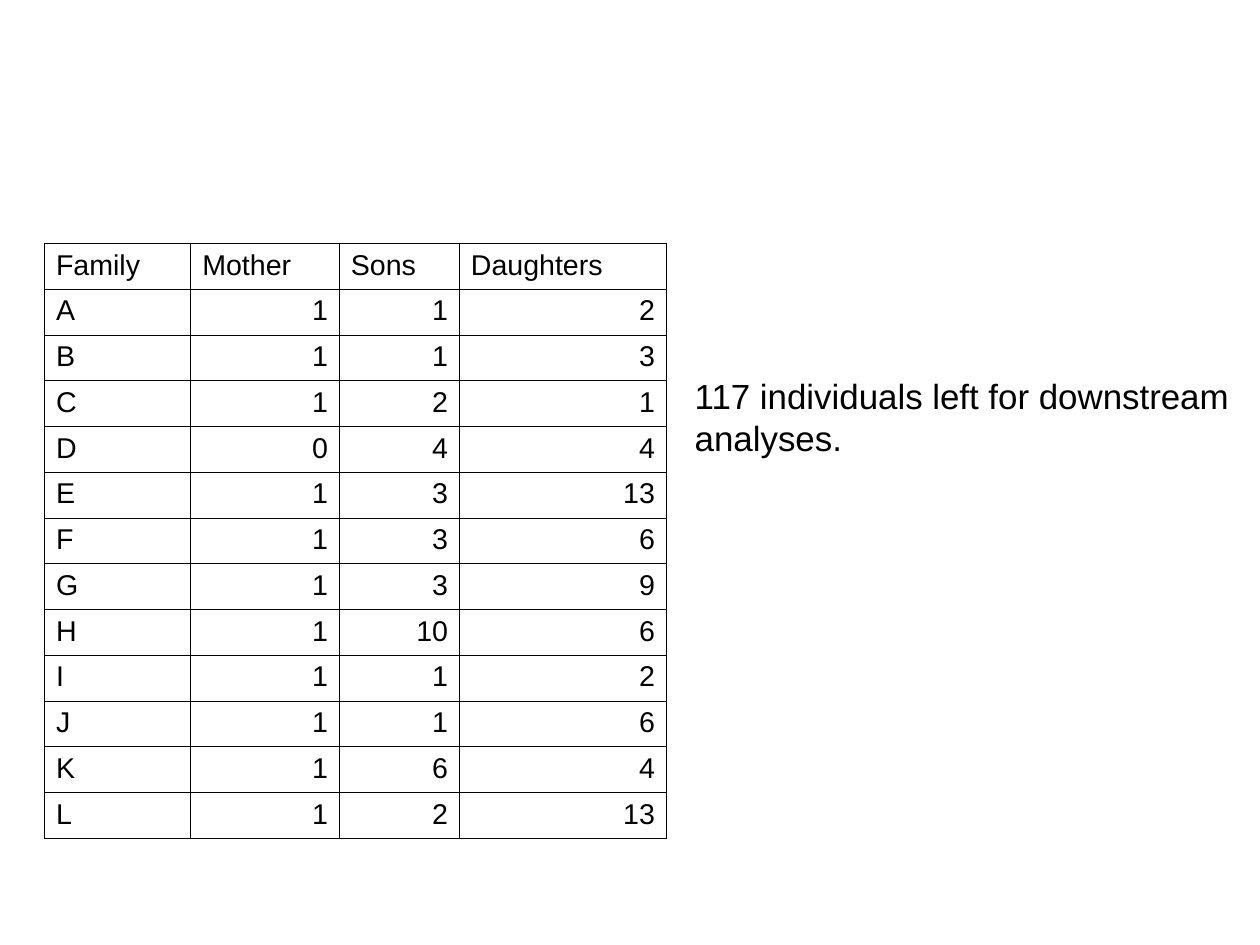
from lxml import etree
from pptx import Presentation
from pptx import util as u
from pptx.dml.color import RGBColor
from pptx.enum import text
from pptx.oxml.ns import qn

HUES = {"ink": "000000", "page": "FFFFFF"}
FONT = "Arial"
CM = 1 / 2.54
WIDTHS = [1.28, 1.3, 1.05, 1.81]
HEADS = ["Family", "Mother", "Sons", "Daughters"]
COUNTS = {
    "A": (1, 1, 2),
    "B": (1, 1, 3),
    "C": (1, 2, 1),
    "D": (0, 4, 4),
    "E": (1, 3, 13),
    "F": (1, 3, 6),
    "G": (1, 3, 9),
    "H": (1, 10, 6),
    "I": (1, 1, 2),
    "J": (1, 1, 6),
    "K": (1, 6, 4),
    "L": (1, 2, 13),
}


def write(frame, words, size=18, hue="ink", align=text.PP_ALIGN.LEFT):
    para = frame.paragraphs[0]
    para.alignment = align
    run = para.add_run()
    run.text = words
    run.font.name = FONT
    run.font.size = u.Pt(size)
    run.font.color.rgb = RGBColor.from_string(HUES[hue])


def border(cell, width=0.57, hue="ink"):
    props = cell._tc.get_or_add_tcPr()
    for side in ("lnL", "lnR", "lnT", "lnB"):
        line = etree.SubElement(props, qn("a:" + side), w=str(u.Pt(width)))
        fill = etree.SubElement(line, qn("a:solidFill"))
        etree.SubElement(fill, qn("a:srgbClr"), val=HUES[hue])


def family_table(slide, left, top, width, height):
    rows = [HEADS] + [[name, *nums] for name, nums in COUNTS.items()]
    frame = slide.shapes.add_table(
        len(rows), len(HEADS), u.Inches(left), u.Inches(top),
        u.Inches(width), u.Inches(height))
    table = frame.table
    table.first_row = False
    table.horz_banding = False
    for col, share in zip(table.columns, WIDTHS):
        col.width = u.Inches(width * share / sum(WIDTHS))
    for r, row in enumerate(rows):
        table.rows[r].height = u.Inches(height / len(rows))
        for c, value in enumerate(row):
            cell = table.cell(r, c)
            number = isinstance(value, int)
            side = text.PP_ALIGN.RIGHT if number else text.PP_ALIGN.LEFT
            write(cell.text_frame, str(value), align=side)
            border(cell)
            cell.fill.background()


def summary(slide, left, top, width, height):
    box = slide.shapes.add_textbox(
        u.Inches(left), u.Inches(top), u.Inches(width), u.Inches(height))
    box.text_frame.word_wrap = True
    write(box.text_frame, "117 individuals left for downstream analyses.", size=22)


def main():
    deck = Presentation()
    deck.slide_width = u.Inches(28 * CM)
    deck.slide_height = u.Inches(21 * CM)
    slide = deck.slides.add_slide(deck.slide_layouts[6])
    slide.background.fill.solid()
    slide.background.fill.fore_color.rgb = RGBColor.from_string(HUES["page"])
    summary(slide, 5.98, 3.23, 4.96, 1.1)
    family_table(slide, 0.39, 2.13, 5.44, 5.16)
    deck.save("out.pptx")


if __name__ == "__main__":
    main()
